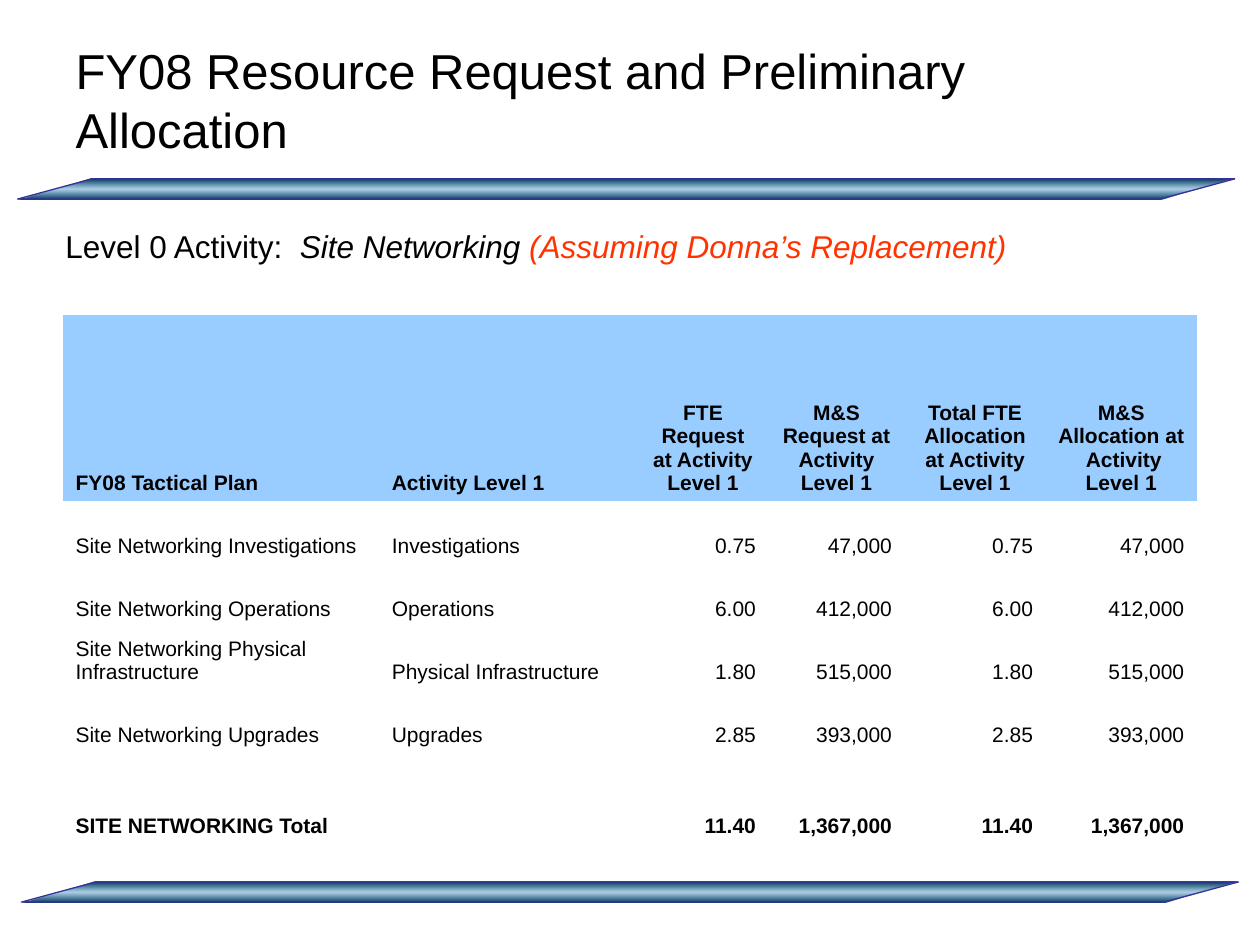
from lxml.etree import SubElement
from pptx import Presentation
from pptx.dml.color import RGBColor
from pptx.enum.text import MSO_ANCHOR, MSO_AUTO_SIZE, PP_ALIGN
from pptx.oxml.ns import qn
from pptx.util import Inches, Pt

COLORS = {
    "text": "000000",
    "accent": "FF3300",
    "header": "99CCFF",
    "bar_edge": "002E4B",
    "bar_middle": "0065A4",
    "bar_line": "333399",
}
PLAIN_TABLE_STYLE = "{2D5ABB26-0587-4C30-8999-92F81FD0307C}"

COLUMN_WIDTHS = [2.51, 2.05, 1.04, 1.08, 1.12, 1.2]
ROW_HEIGHTS = [1.48, 0.5, 0.5, 0.5, 0.5, 0.72]
HEADERS = [
    "FY08 Tactical Plan",
    "Activity Level 1",
    "FTE Request at Activity Level 1",
    "M&S Request at Activity Level 1",
    "Total FTE Allocation at Activity Level 1",
    "M&S Allocation at\n Activity Level 1",
]
# Plan, activity, FTE and M&S; the allocation equals the request.
PLANS = [
    ("Site Networking Investigations", "Investigations", 0.75, 47000),
    ("Site Networking Operations", "Operations", 6.00, 412000),
    ("Site Networking Physical Infrastructure", "Physical Infrastructure", 1.80, 515000),
    ("Site Networking Upgrades", "Upgrades", 2.85, 393000),
]


def rgb(name):
    """Return the named colour."""
    return RGBColor.from_string(COLORS[name])


def write(paragraph, text, size=12, color="text", bold=False, italic=False,
          align=PP_ALIGN.LEFT, font="Arial"):
    """Append formatted text to a paragraph, breaking lines at newlines."""
    paragraph.alignment = align
    for index, line in enumerate(text.split("\n")):
        if index:
            paragraph.add_line_break()
        run = paragraph.add_run()
        run.text = line
        run.font.name = font
        run.font.size = Pt(size)
        run.font.bold = bold
        run.font.italic = italic
        run.font.color.rgb = rgb(color)


class SlideBuilder:
    """Holds the style and the current slide."""

    bar_width, bar_height, bar_slant = 9.07, 0.16, 0.59

    def __init__(self, slide):
        """Keep the slide to draw on."""
        self.slide = slide

    def title(self, text, left, top, width, height):
        """Place and fill the title placeholder."""
        title = self.slide.shapes.title
        title.left, title.top = Inches(left), Inches(top)
        title.width, title.height = Inches(width), Inches(height)
        frame = title.text_frame
        frame.auto_size = MSO_AUTO_SIZE.NONE
        frame.vertical_anchor = MSO_ANCHOR.MIDDLE
        write(frame.paragraphs[0], text, size=28)

    def bar(self, left, top):
        """Draw a slanted bar with a vertical gradient."""
        right, bottom = left + self.bar_slant + self.bar_width, top + self.bar_height
        corners = [
            (left + self.bar_slant, top),
            (right, top),
            (right - self.bar_slant, bottom),
            (left, bottom),
        ]
        points = [(Inches(x), Inches(y)) for x, y in corners]
        builder = self.slide.shapes.build_freeform(*points[0])
        builder.add_line_segments(points[1:], close=True)
        bar = builder.convert_to_shape()
        bar.shadow.inherit = False
        bar.line.color.rgb = rgb("bar_line")
        bar.line.width = Pt(0.75)
        bar.fill.gradient()
        bar.fill.gradient_angle = 90
        stops = bar.fill._fill._gradFill.find(qn("a:gsLst"))
        for stop in list(stops):
            stops.remove(stop)
        for position, name, alpha in ((0, "bar_edge", 100), (50, "bar_middle", 32),
                                      (100, "bar_edge", 100)):
            stop = SubElement(stops, qn("a:gs"), pos=str(position * 1000))
            color = SubElement(stop, qn("a:srgbClr"), val=COLORS[name])
            if alpha < 100:
                SubElement(color, qn("a:alpha"), val=str(alpha * 1000))

    def text(self, parts, left, top, width, height, size):
        """Add a text box made of (text, format) parts."""
        box = self.slide.shapes.add_textbox(
            Inches(left), Inches(top), Inches(width), Inches(height))
        frame = box.text_frame
        frame.word_wrap = True
        frame.auto_size = MSO_AUTO_SIZE.SHAPE_TO_FIT_TEXT
        paragraph = frame.paragraphs[0]
        paragraph.space_before = Pt(11.2)
        for text, style in parts:
            write(paragraph, text, size=size, **style)

    def table(self, rows, left, top, widths, heights):
        """Add a table with a filled header and a bold total row."""
        table = self.slide.shapes.add_table(
            len(rows), len(widths), Inches(left), Inches(top),
            Inches(sum(widths)), Inches(sum(heights))).table
        table.horz_banding = False
        table._tbl.tblPr.find(qn("a:tableStyleId")).text = PLAIN_TABLE_STYLE
        for column, width in zip(table.columns, widths):
            column.width = Inches(width)
        for row, height in zip(table.rows, heights):
            row.height = Inches(height)
        last = len(rows) - 1
        for r, row in enumerate(rows):
            for c, text in enumerate(row):
                cell = table.cell(r, c)
                cell.vertical_anchor = MSO_ANCHOR.BOTTOM
                if r == 0:
                    cell.fill.solid()
                    cell.fill.fore_color.rgb = rgb("header")
                else:
                    cell.fill.background()
                number_align = PP_ALIGN.CENTER if r == 0 else PP_ALIGN.RIGHT
                if text:
                    write(cell.text_frame.paragraphs[0], text, bold=r in (0, last),
                          align=PP_ALIGN.LEFT if c < 2 else number_align)


def table_rows():
    """Return the header, plan and total rows as text."""
    total = ("SITE NETWORKING Total", "",
             sum(plan[2] for plan in PLANS), sum(plan[3] for plan in PLANS))
    rows = [HEADERS]
    for plan, activity, fte, materials in PLANS + [total]:
        rows.append([plan, activity] + [f"{fte:.2f}", f"{materials:,}"] * 2)
    return rows


def main():
    """Build and save the slide."""
    deck = Presentation()
    deck.slide_width, deck.slide_height = Inches(10), Inches(7.5)
    page = SlideBuilder(deck.slides.add_slide(deck.slide_layouts[5]))
    page.bar(0.14, 1.42)
    page.bar(0.17, 7)
    page.title("FY08 Resource Request and Preliminary Allocation", 0.5, 0.25, 9, 1.08)
    page.text([
        ("Level 0 Activity:  ", {}),
        ("Site Networking ", {"italic": True}),
        ("(Assuming Donna’s Replacement)", {"italic": True, "color": "accent"}),
    ], 0.42, 1.75, 9, 0.4, size=18)
    page.table(table_rows(), 0.5, 2.5, COLUMN_WIDTHS, ROW_HEIGHTS)
    deck.save("out.pptx")


main()
